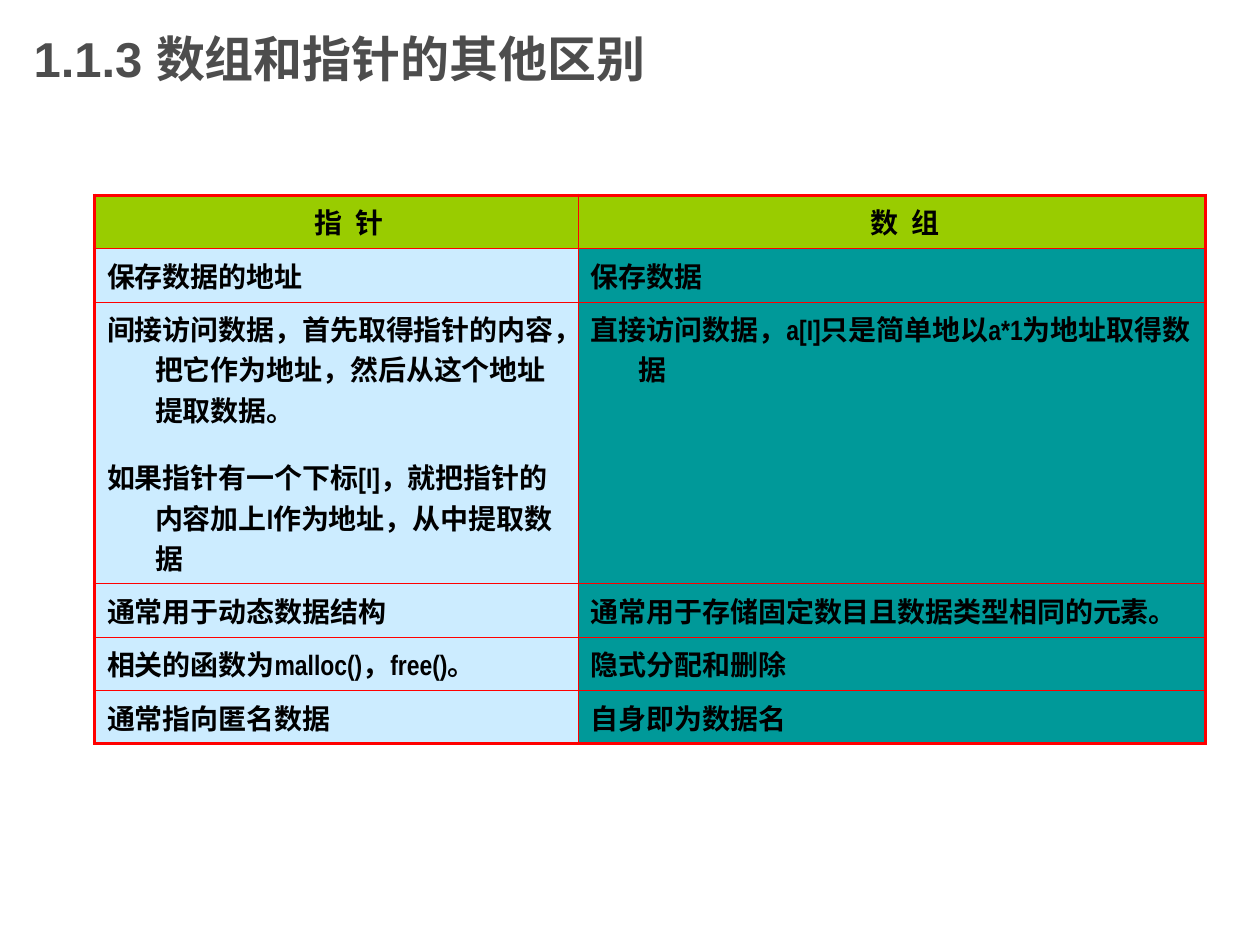
from pptx import Presentation
from pptx.dml.color import RGBColor
from pptx.enum import text
from pptx.oxml import parse_xml
from pptx.oxml.ns import nsdecls
from pptx.util import Pt

# Content: each cell is a list of paragraphs
TITLE = "1.1.3 数组和指针的其他区别"
ROWS = [
    (["指 针"], ["数 组"]),
    (["保存数据的地址"], ["保存数据"]),
    (["间接访问数据，首先取得指针的内容，把它作为地址，然后从这个地址提取数据。",
      "如果指针有一个下标[I]，就把指针的内容加上I作为地址，从中提取数据"],
     ["直接访问数据，a[I]只是简单地以a*1为地址取得数据"]),
    (["通常用于动态数据结构"], ["通常用于存储固定数目且数据类型相同的元素。"]),
    (["相关的函数为malloc()，free()。"], ["隐式分配和删除"]),
    (["通常指向匿名数据"], ["自身即为数据名"]),
]
COL_WIDTHS = (276.5, 358.5)
ROW_HEIGHT, TALL_ROW, TALL_HEIGHT = 30.5, 2, 160.5


class Theme:
    title_font, title_size, title_color = "Arial", 28, "4D4D4D"
    cell_font, cell_size, cell_color = "Arial Narrow", 16, "000000"
    header_fill, column_fills = "99CC00", ("CCECFF", "009999")
    border, outer, inner = "FF0000", 2.2, 0.34
    hanging, header_shift, paragraph_gap, letter_gap = 27.4, 14.5, 15.5, 2


def style_font(font, name, size, color):
    font.name, font.size, font.bold = name, Pt(size), True
    font.color.rgb = RGBColor.from_string(color)


def set_borders(cell, row, col):
    edges = {"L": col == 0, "R": col == len(COL_WIDTHS) - 1,
             "T": row == 0, "B": row == len(ROWS) - 1}
    tc_pr = cell._tc.get_or_add_tcPr()
    for side, is_outer in edges.items():
        width = Pt(Theme.outer if is_outer else Theme.inner)
        tc_pr.append(parse_xml(
            f'<a:ln{side} {nsdecls("a")} w="{width}"><a:solidFill>'
            f'<a:srgbClr val="{Theme.border}"/></a:solidFill></a:ln{side}>'))


def fill_cell(cell, paragraphs, row, col):
    set_borders(cell, row, col)
    is_header = row == 0
    cell.fill.solid()
    cell.fill.fore_color.rgb = RGBColor.from_string(
        Theme.header_fill if is_header else Theme.column_fills[col])
    tf = cell.text_frame
    for i, words in enumerate(paragraphs):
        p = tf.add_paragraph() if i else tf.paragraphs[0]
        r = p.add_run()
        r.text = words
        style_font(p.font, Theme.cell_font, Theme.cell_size, Theme.cell_color)
        p.space_before = Pt(Theme.paragraph_gap if i else 0)
        p_pr = p._p.get_or_add_pPr()
        if is_header:
            p.alignment = text.PP_ALIGN.CENTER
            p_pr.set("marL", str(Pt(Theme.header_shift)))
            r._r.get_or_add_rPr().set("spc", str(Theme.letter_gap * 100))
        else:
            p_pr.set("marL", str(Pt(Theme.hanging)))
            p_pr.set("indent", str(-Pt(Theme.hanging)))


def main():
    prs = Presentation()
    prs.slide_width, prs.slide_height = Pt(720), Pt(540)
    s = prs.slides.add_slide(prs.slide_layouts[5])

    # Title
    title = s.shapes.title
    title.left, title.top, title.width, title.height = Pt(12), Pt(0), Pt(540), Pt(66)
    tf = title.text_frame
    tf.text = TITLE
    tf.word_wrap, tf.auto_size = True, text.MSO_AUTO_SIZE.NONE
    tf.vertical_anchor = text.MSO_ANCHOR.MIDDLE
    p = tf.paragraphs[0]
    p.alignment = text.PP_ALIGN.LEFT
    style_font(p.font, Theme.title_font, Theme.title_size, Theme.title_color)

    # Comparison table
    heights = [TALL_HEIGHT if i == TALL_ROW else ROW_HEIGHT for i in range(len(ROWS))]
    table = s.shapes.add_table(len(ROWS), len(COL_WIDTHS), Pt(54), Pt(111.6),
                               Pt(sum(COL_WIDTHS)), Pt(sum(heights))).table
    for column, width in zip(table.columns, COL_WIDTHS):
        column.width = Pt(width)
    for i, (cells, height) in enumerate(zip(ROWS, heights)):
        table.rows[i].height = Pt(height)
        for j, paragraphs in enumerate(cells):
            fill_cell(table.cell(i, j), paragraphs, i, j)

    prs.save("out.pptx")


if __name__ == "__main__":
    main()
